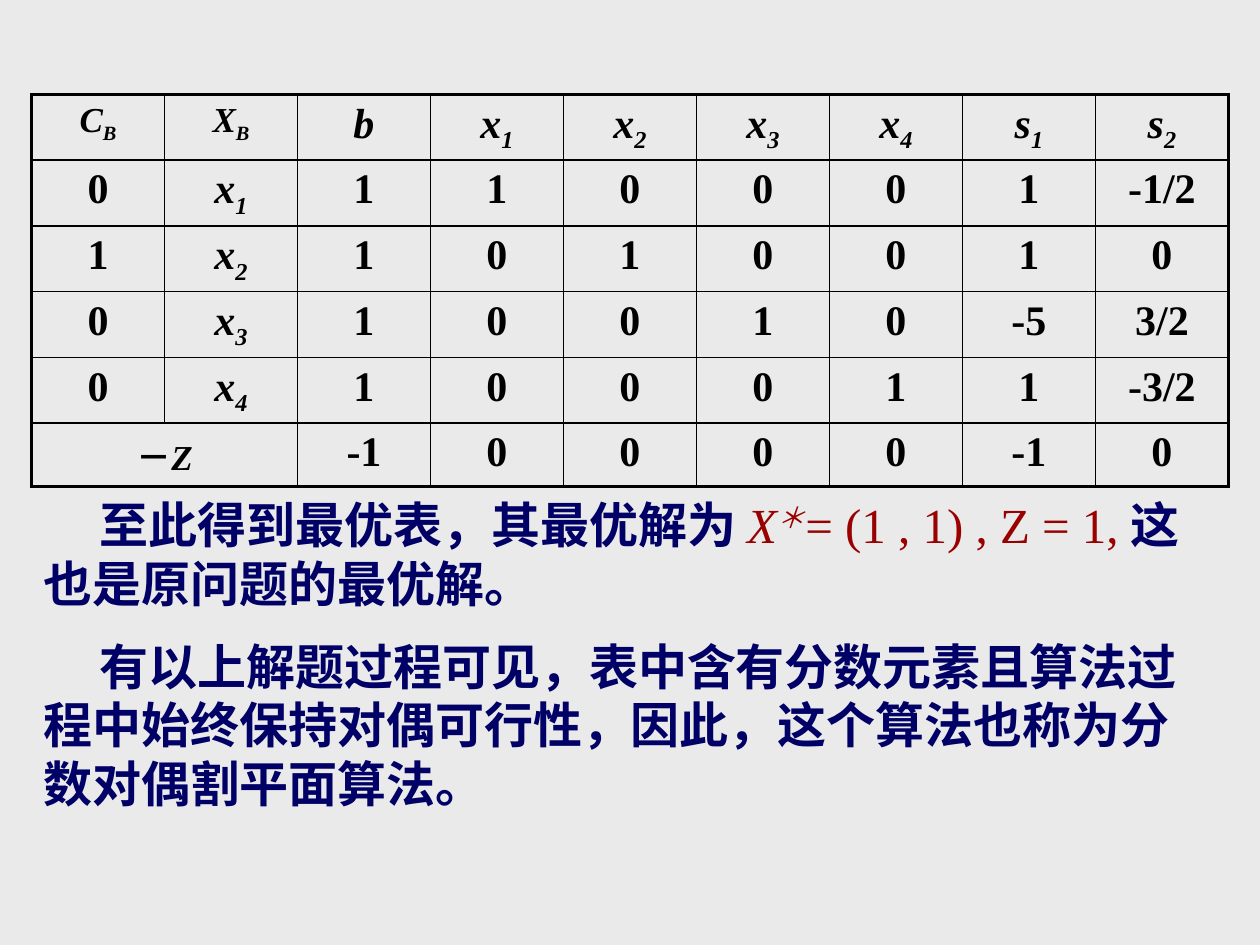
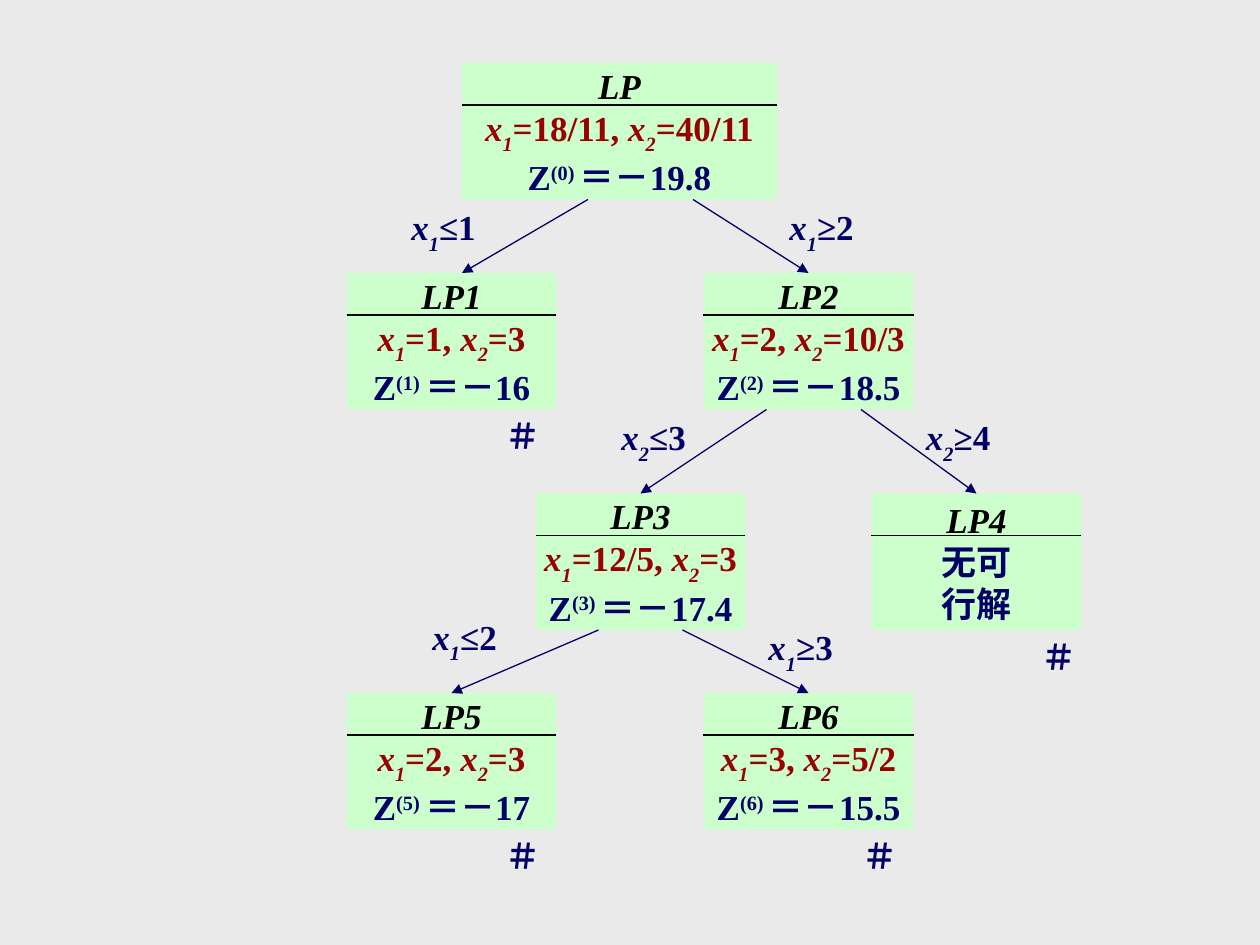
"""Build the optimal-tableau slide and the branch-and-bound tree slide."""
from lxml import etree
from pptx import Presentation
from pptx.dml.color import RGBColor
from pptx.enum import shapes as sh, text as tx
from pptx.oxml import ns
from pptx.util import Pt

GREY = RGBColor(0xEA, 0xEA, 0xEA)
GREEN = RGBColor(0xCC, 0xFF, 0xCC)
NAVY = RGBColor(0x00, 0x00, 0x66)
RED = RGBColor(0x99, 0x00, 0x00)
BLACK = RGBColor(0, 0, 0)
FONT = "Times New Roman"
HIGH = 78
WIDE = 120
ROWS = (36, 156, 282, 396)

HEADS = ["b", "x1", "x2", "x3", "x4", "s1", "s2"]
BODY = [
    ["0", "x1", "1", "1", "0", "0", "0", "1", "-1/2"],
    ["1", "x2", "1", "0", "1", "0", "0", "1", "0"],
    ["0", "x3", "1", "0", "0", "1", "0", "-5", "3/2"],
    ["0", "x4", "1", "0", "0", "0", "1", "1", "-3/2"],
]
COSTS = ["-1", "0", "0", "0", "0", "-1", "0"]

NODES = [
    ("LP", 264, 0, 180, ("18/11", "40/11", "0", "19.8"), None),
    ("LP1", 198, 1, WIDE, ("1", "3", "1", "16"), 84),
    ("LP2", 402, 1, WIDE, ("2", "10/3", "2", "18.5"), None),
    ("LP3", 306, 2, WIDE, ("12/5", "3", "3", "17.4"), None),
    ("LP4", 498, 2, WIDE, None, 90),
    ("LP5", 198, 3, WIDE, ("2", "3", "5", "17"), 84),
    ("LP6", 402, 3, WIDE, ("3", "5/2", "6", "15.5"), 84),
]
EDGES = [
    (0, 336, 264, None, "1", "≤1", 228, 114),
    (0, 396, 462, "LP2", "1", "≥2", 444, 114),
    (1, 438, 366, "LP3", "2", "≤3", 348, 234),
    (1, 492, 558, "LP4", "2", "≥4", 522, 234),
    (2, 342, 258, "LP5", "1", "≤2", 240, 348),
    (2, 390, 462, "LP6", "1", "≥3", 432, 354),
]


def write(para, parts, **base):
    """Add (text, format) parts as runs on top of the base format."""
    for words, extra in parts:
        run = para.add_run()
        run.text = words
        look = {"name": FONT, "bold": True, "italic": False, "color": BLACK,
                "lift": 0, **base, **extra}
        run.font.fill.solid()
        run.font.fill.fore_color.rgb = look.pop("color")
        lift = look.pop("lift")
        for key, value in look.items():
            setattr(run.font, key, value)
        if lift:
            run._r.get_or_add_rPr().set("baseline", str(lift * 1000))


def var(name, drop=-30):
    """Return parts for an italic variable with its lowered index."""
    parts = [(name[0], {"italic": True})]
    if name[1:]:
        parts.append((name[1:], {"italic": True, "lift": drop}))
    return parts


def label(slide, box, parts, size, wrap=True, indent=0):
    """Place a text box holding one paragraph."""
    frame = slide.shapes.add_textbox(*map(Pt, box)).text_frame
    frame.word_wrap = wrap
    frame.auto_size = tx.MSO_AUTO_SIZE.SHAPE_TO_FIT_TEXT
    para = frame.paragraphs[0]
    if indent:
        para._p.get_or_add_pPr().set("indent", str(Pt(indent)))
    write(para, parts, size=Pt(size), color=NAVY)


def stroke(slide, ends, color, arrow=False):
    """Draw a straight line, with an arrowhead if asked."""
    line = slide.shapes.add_connector(sh.MSO_CONNECTOR.STRAIGHT, *map(Pt, ends))
    line.line.width = Pt(0.75)
    line.line.color.rgb = color
    if arrow:
        etree.SubElement(line.line._get_or_add_ln(), ns.qn("a:tailEnd"), type="triangle")
    etree.SubElement(line._element.spPr, ns.qn("a:effectLst"))
    return line


def edge(cell, widths):
    """Give a cell black borders of the widths left, right, top, bottom."""
    props = cell._tc.get_or_add_tcPr()
    for spot, (side, width) in enumerate(zip("LRTB", widths)):
        line = etree.Element(ns.qn("a:ln" + side), w=str(Pt(width)))
        fill = etree.SubElement(line, ns.qn("a:solidFill"))
        etree.SubElement(fill, ns.qn("a:srgbClr"), val=str(BLACK))
        props.insert(spot, line)


def tableau(slide, box):
    """Fill the box with the simplex tableau."""
    small = {"size": Pt(20)}
    grid = [[var(name, -25) for name in ["CB", "XB"] + HEADS]]
    for row in BODY:
        grid.append([var(word, -25) if word[0] == "x" else [(word, {})] for word in row])
    grid.append([[("－", small), ("Z", {**small, "italic": True})], []]
                + [[(word, {})] for word in COSTS])
    tall, broad = len(grid), len(grid[0])
    table = slide.shapes.add_table(tall, broad, *map(Pt, box)).table
    table.first_row = table.horz_banding = False
    for col in table.columns:
        col.width = Pt(box[2] / broad)
    for row in table.rows:
        row.height = Pt(box[3] / tall)
    for r, row in enumerate(grid):
        for c, parts in enumerate(row):
            cell = table.cell(r, c)
            cell.fill.background()
            outer = (c == 0, c == broad - 1, r == 0, r == tall - 1)
            edge(cell, [2.25 if out else 1 for out in outer])
            para = cell.text_frame.paragraphs[0]
            para.alignment = tx.PP_ALIGN.CENTER
            write(para, parts, size=Pt(20 if r == 0 and c < 2 else 24))
    table.cell(tall - 1, 0).merge(table.cell(tall - 1, 1))


def node(slide, box, name, answer):
    """Draw one subproblem with its title, rule and result."""
    left, top, wide, high = box
    shape = slide.shapes.add_shape(sh.MSO_SHAPE.RECTANGLE, *map(Pt, box))
    shape.shadow.inherit = False
    shape.fill.solid()
    shape.fill.fore_color.rgb = GREEN
    shape.line.fill.background()
    lines = [([(name, {"italic": True})], BLACK)]
    if answer:
        one, two, step, cost = answer
        lines.append((var("x1") + [(f"={one}, ", {})] + var("x2") + [(f"={two}", {})], RED))
        lines.append(([("Z", {}), (f"({step}) ", {"lift": 30}), (f"＝－{cost}", {})], NAVY))
    else:
        lines += [([(words, {})], NAVY) for words in ("无可", "行解")]
    frame = shape.text_frame
    frame.word_wrap = False
    frame.vertical_anchor = tx.MSO_ANCHOR.MIDDLE
    for spot, (parts, color) in enumerate(lines):
        para = frame.add_paragraph() if spot else frame.paragraphs[0]
        para.alignment = tx.PP_ALIGN.CENTER
        write(para, parts, size=Pt(20), color=color)
    stroke(slide, (left, top + 24, left + wide, top + 24), BLACK)
    return shape


def page(deck):
    """Add a blank slide with the grey background."""
    slide = deck.slides.add_slide(deck.slide_layouts[6])
    slide.background.fill.solid()
    slide.background.fill.fore_color.rgb = GREY
    return slide


def result(deck):
    """Build the slide with the optimal tableau and its reading."""
    slide = page(deck)
    tableau(slide, (18, 54, 684, 216))
    plain = {"color": RED, "bold": False}
    slant = {**plain, "italic": True}
    label(slide, (18, 279, 684, 74), [
        ("至此得到最优表，其最优解为 ", {}), ("X", slant), ("＊", {**slant, "lift": 30}),
        ("= (1 , 1) , Z = 1, ", plain), ("这也是原问题的最优解。", {})], 28, indent=32)
    label(slide, (18, 360, 684, 108), [
        ("有以上解题过程可见，表中含有分数元素且算法过程中始终保持对偶可行性，"
         "因此，这个算法也称为分数对偶割平面算法。", {})], 28, indent=32)


def tree(deck):
    """Build the slide with the branch-and-bound tree."""
    slide = page(deck)
    drawn = {}
    for name, left, row, wide, answer, mark in NODES:
        top = ROWS[row]
        drawn[name] = node(slide, (left, top, wide, HIGH), name, answer)
        if mark:
            label(slide, (left + mark, top + HIGH - 0.5, 34.5, 31), [("＃", {})], 20, wrap=False)
    for row, start, stop, child, index, bound, left, top in EDGES:
        line = stroke(slide, (start, ROWS[row] + HIGH, stop, ROWS[row + 1]), NAVY, arrow=True)
        if child:
            line.end_connect(drawn[child], 0)
        label(slide, (left, top, 67, 31), var("x" + index) + [(bound, {})], 20)


def main():
    """Build and save the deck."""
    deck = Presentation()
    deck.slide_width, deck.slide_height = Pt(720), Pt(540)
    result(deck)
    tree(deck)
    deck.save("out.pptx")


if __name__ == "__main__":
    main()
